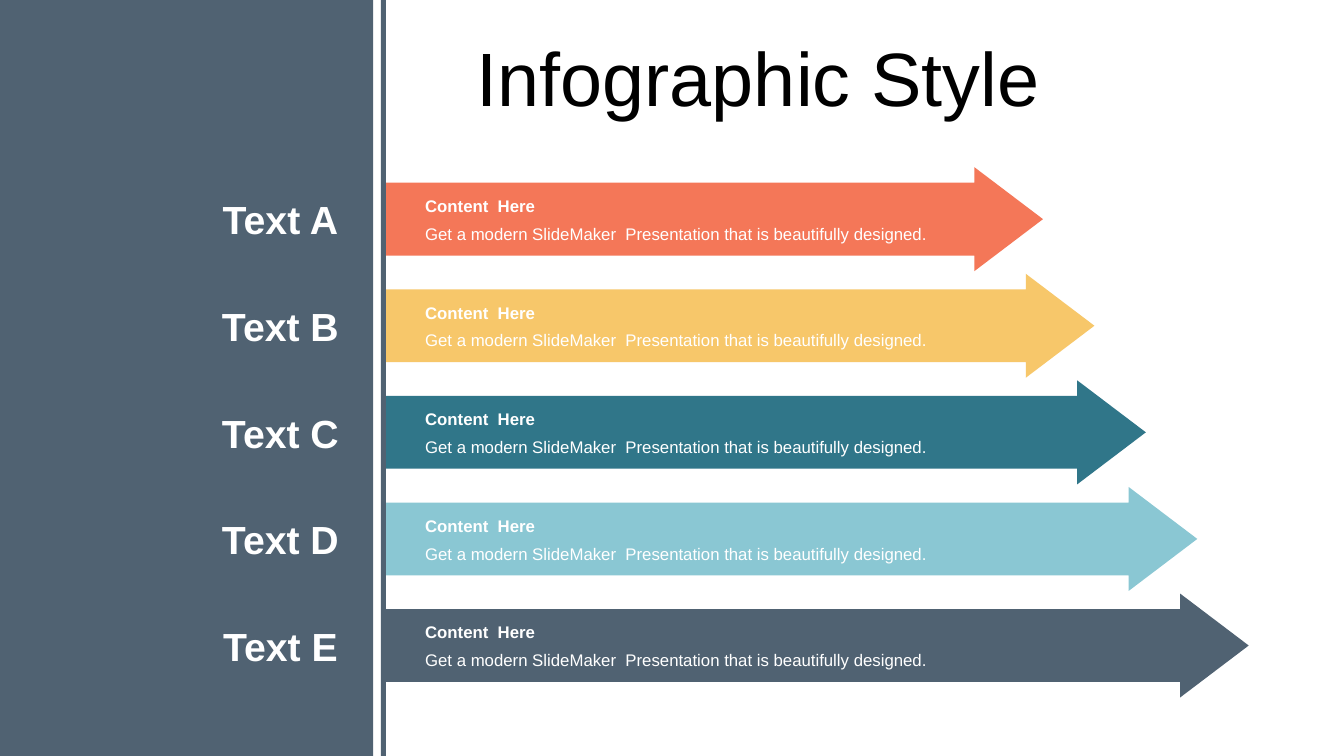
from pptx import Presentation
from pptx.dml.color import RGBColor
from pptx.enum.shapes import MSO_SHAPE
from pptx.enum.text import MSO_ANCHOR, MSO_AUTO_SIZE, PP_ALIGN
from pptx.util import Pt

SLATE = "506272"
WHITE = "FFFFFF"
ROWS = [("Text A", "F47758"), ("Text B", "F7C76A"), ("Text C", "307689"),
        ("Text D", "8AC7D3"), ("Text E", SLATE)]
HEADING = "Content  Here"
DETAIL = "Get a modern SlideMaker  Presentation that is beautifully designed."

ROW_STEP = 76.14
ARROW_TOP = 119.4
ARROW_LEFT = 275
ARROW_HEIGHT = 74.3
SHORTEST_ARROW = 470
ARROW_GROWTH = 36.75


def rgb(color):
    return RGBColor.from_string(color)


def add_filled(slide, preset, left, top, width, height, color):
    shape = slide.shapes.add_shape(preset, Pt(left), Pt(top), Pt(width), Pt(height))
    shape.shadow.inherit = False
    shape.fill.solid()
    shape.fill.fore_color.rgb = rgb(color)
    shape.line.fill.background()
    return shape


def add_text(slide, text, left, top, width, height, size=12, color=WHITE,
             bold=False, align=PP_ALIGN.LEFT, anchor=MSO_ANCHOR.TOP,
             line_spacing=1.0, fit=MSO_AUTO_SIZE.SHAPE_TO_FIT_TEXT):
    box = slide.shapes.add_textbox(Pt(left), Pt(top), Pt(width), Pt(height))
    frame = box.text_frame
    frame.word_wrap = True
    frame.auto_size = fit
    frame.vertical_anchor = anchor
    paragraph = frame.paragraphs[0]
    paragraph.alignment = align
    paragraph.line_spacing = line_spacing
    run = paragraph.add_run()
    run.text = text
    run.font.name = "Arial"
    run.font.size = Pt(size)
    run.font.bold = bold
    run.font.color.rgb = rgb(color)


def add_arrow(slide, left, top, width, color):
    arrow = add_filled(slide, MSO_SHAPE.RIGHT_ARROW, left, top, width, ARROW_HEIGHT, color)
    arrow.adjustments[0] = 0.7
    arrow.adjustments[1] = 0.66


def add_row(slide, index, label, color):
    top = ARROW_TOP + index * ROW_STEP
    add_arrow(slide, ARROW_LEFT, top, SHORTEST_ARROW + index * ARROW_GROWTH, color)
    add_text(slide, label, 148.5, top + 16.6, 103.5, 41.2, size=28, bold=True,
             align=PP_ALIGN.CENTER, anchor=MSO_ANCHOR.MIDDLE)
    add_text(slide, HEADING, 296.6, top + 16.8, 405.4, 21.8, bold=True)
    add_text(slide, DETAIL, 296.6, top + 36.7, 405.4, 21.8)


def main():
    presentation = Presentation()
    presentation.slide_width = Pt(960)
    presentation.slide_height = Pt(540)
    slide = presentation.slides.add_slide(presentation.slide_layouts[6])

    add_filled(slide, MSO_SHAPE.RECTANGLE, 0, 0, 266.5, 540, SLATE)
    add_text(slide, "Infographic Style", 333.5, 24.5, 626.5, 68.4, size=54,
             color="000000", anchor=MSO_ANCHOR.MIDDLE, line_spacing=0.9,
             fit=MSO_AUTO_SIZE.NONE)
    for index, (label, color) in enumerate(ROWS):
        add_row(slide, index, label, color)
    add_filled(slide, MSO_SHAPE.RECTANGLE, 272, 0, 3.7, 540, SLATE)

    presentation.save("out.pptx")


if __name__ == "__main__":
    main()
